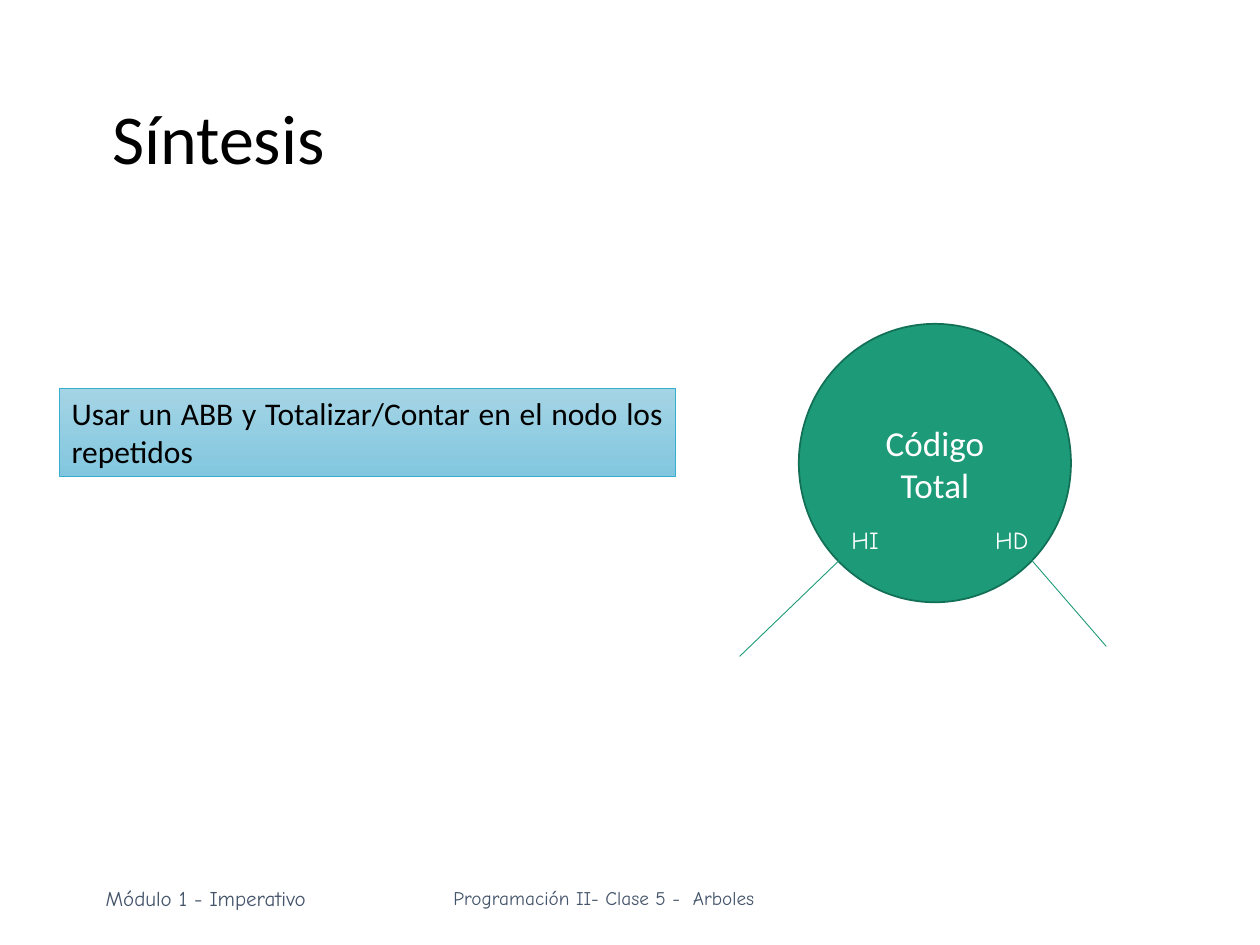
from dataclasses import dataclass

from lxml.etree import SubElement
from pptx import Presentation
from pptx.dml.color import RGBColor
from pptx.enum.shapes import MSO_CONNECTOR, MSO_SHAPE
from pptx.enum.text import MSO_ANCHOR, PP_ALIGN
from pptx.oxml.ns import qn
from pptx.util import Inches, Pt

WIDTH, HEIGHT = 10, 7.5


@dataclass(frozen=True)
class Theme:
    body_font: str = "Calibri"
    note_font: str = "Comic Neue"
    black: str = "000000"
    white: str = "FFFFFF"
    slate: str = "44546A"
    node: str = "1D9A78"
    node_edge: str = "127056"
    box_top: str = "A4D4E5"
    box_bottom: str = "82C7DF"
    box_edge: str = "36AFCE"
    title_size: float = 40
    node_size: float = 20
    box_size: float = 18
    child_size: float = 14
    module_size: float = 12
    course_size: float = 11


THEME = Theme()


def rgb(color):
    return RGBColor.from_string(color)


def write(frame, lines, font, size, color, align=PP_ALIGN.LEFT,
          anchor=MSO_ANCHOR.TOP, wrap=True):
    frame.word_wrap = wrap
    frame.vertical_anchor = anchor
    for index, line in enumerate(lines):
        paragraph = frame.add_paragraph() if index else frame.paragraphs[0]
        paragraph.alignment = align
        run = paragraph.add_run()
        run.text = line
        run.font.name = font
        run.font.size = Pt(size)
        run.font.color.rgb = rgb(color)


def set_title(slide, text):
    title = slide.shapes.title
    title.left, title.top = Inches(0.79), Inches(0.4)
    title.width, title.height = Inches(8.62), Inches(1.45)
    write(title.text_frame, [text], THEME.body_font, THEME.title_size,
          THEME.black, anchor=MSO_ANCHOR.MIDDLE)
    title.text_frame.paragraphs[0].line_spacing = 0.9


def add_label(slide, text, box, size, color, wrap=True):
    label = slide.shapes.add_textbox(*map(Inches, box))
    write(label.text_frame, [text], THEME.note_font, size, color, wrap=wrap)


def add_outlined(slide, preset, box, edge, weight):
    shape = slide.shapes.add_shape(preset, *map(Inches, box))
    shape.shadow.inherit = False
    shape.line.color.rgb = rgb(edge)
    shape.line.width = Pt(weight)
    return shape


def add_statement(slide, text, box):
    statement = add_outlined(slide, MSO_SHAPE.RECTANGLE, box, THEME.box_edge, 0.5)
    statement.fill.gradient()
    statement.fill.gradient_angle = 270  # top to bottom
    for stop, color in zip(statement.fill.gradient_stops,
                           (THEME.box_top, THEME.box_bottom)):
        stop.color.rgb = rgb(color)
    write(statement.text_frame, [text], THEME.body_font, THEME.box_size,
          THEME.black, PP_ALIGN.JUSTIFY)


def add_branch(slide, start, end):
    branch = slide.shapes.add_connector(
        MSO_CONNECTOR.STRAIGHT, *map(Inches, (*start, *end)))
    branch.line.color.rgb = rgb(THEME.node)
    branch.line.width = Pt(0.5)
    SubElement(branch._element.spPr, qn("a:effectLst"))


def add_tree_node(slide, fields, box, children):
    """Draw a node with its fields; children are (name, label left, start x, end)."""
    node = add_outlined(slide, MSO_SHAPE.OVAL, box, THEME.node_edge, 1)
    node.fill.solid()
    node.fill.fore_color.rgb = rgb(THEME.node)
    write(node.text_frame, fields, THEME.body_font, THEME.node_size,
          THEME.white, PP_ALIGN.CENTER, MSO_ANCHOR.MIDDLE)
    _, top, _, height = box
    branch_top = top + 0.85 * height
    label_top = top + 0.7 * height
    for name, label_left, start_x, end in children:
        add_branch(slide, (start_x, branch_top), end)
        add_label(slide, name, (label_left, label_top, 0.67, 0.34),
                  THEME.child_size, THEME.white)


def main():
    deck = Presentation()
    deck.slide_width, deck.slide_height = Inches(WIDTH), Inches(HEIGHT)
    slide = deck.slides.add_slide(deck.slide_layouts[5])

    footer_top = 0.93 * HEIGHT
    add_label(slide, "Programación II- Clase 5 -  Arboles",
              (0.35 * WIDTH, footer_top + 0.01, 2.6, 0.29),
              THEME.course_size, THEME.slate, wrap=False)
    add_label(slide, "Módulo 1 - Imperativo", (0.74, footer_top, 1.79, 0.3),
              THEME.module_size, THEME.slate, wrap=False)
    set_title(slide, "Síntesis")
    add_statement(slide, "Usar un ABB y Totalizar/Contar en el nodo los repetidos",
                  (0.47, 3.08, 4.89, 0.7))
    add_tree_node(slide, ["Código", "Total"], (6.34, 2.57, 2.16, 2.21),
                  [("HI", 6.66, 6.66, (5.87, 5.21)),
                   ("HD", 7.8, 8.19, (8.78, 5.13))])
    deck.save("out.pptx")


if __name__ == "__main__":
    main()
